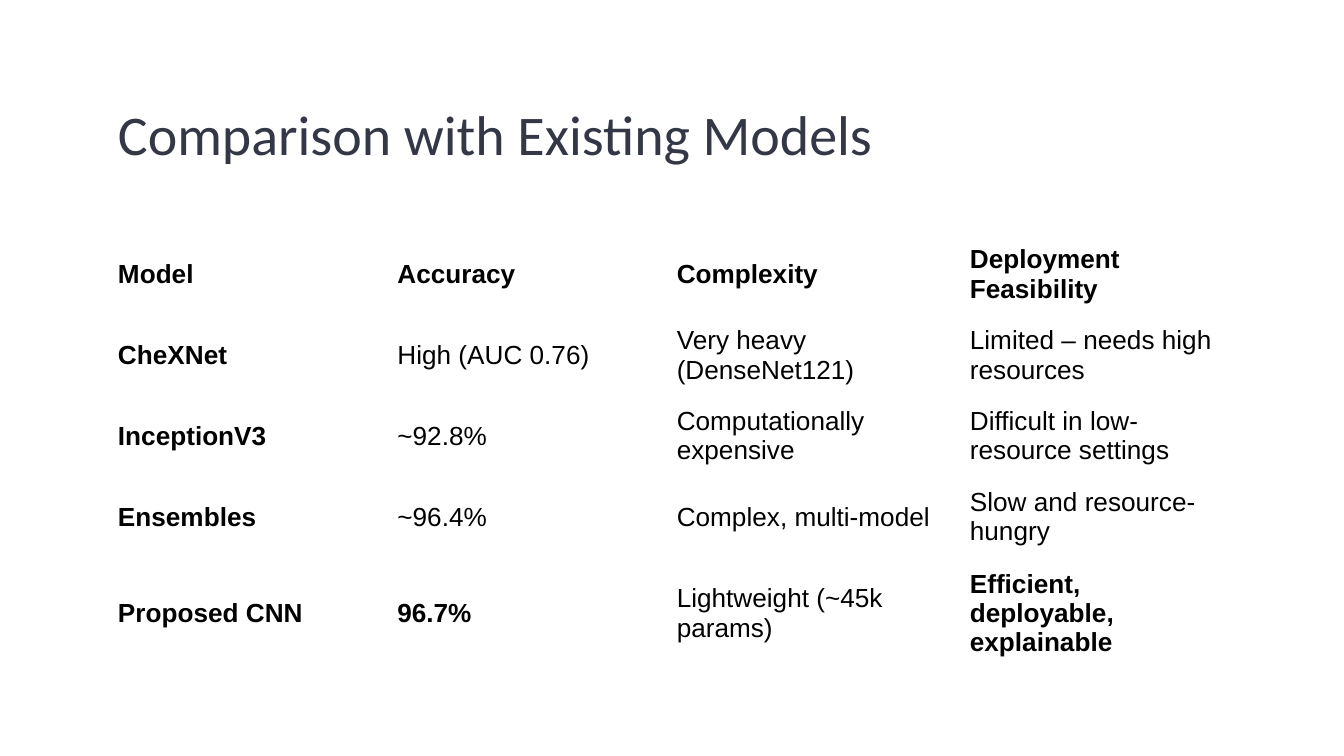
from dataclasses import dataclass

from pptx import Presentation
from pptx.dml.color import RGBColor
from pptx.enum.text import MSO_ANCHOR
from pptx.util import Cm, Pt

MIDDLE = MSO_ANCHOR.MIDDLE


@dataclass(frozen=True)
class Theme:
    title_font: str = "Calibri"
    title_size: Pt = Pt(30)
    title_color: RGBColor = RGBColor(0x33, 0x37, 0x46)
    body_font: str = "Arial"
    body_size: Pt = Pt(14)
    body_color: RGBColor = RGBColor(0, 0, 0)


THEME = Theme()
LEFT, WIDTH = Cm(1.98), Cm(21.44)
PAD_X, PAD_Y = Cm(0.25), Cm(0.13)

TITLE = "Comparison with Existing Models"
MODELS = [
    ["Model", "Accuracy", "Complexity", "Deployment Feasibility"],
    ["CheXNet", "High (AUC 0.76)", "Very heavy (DenseNet121)",
     "Limited – needs high resources"],
    ["InceptionV3", "~92.8%", "Computationally expensive",
     "Difficult in low-resource settings"],
    ["Ensembles", "~96.4%", "Complex, multi-model", "Slow and resource-hungry"],
    ["Proposed CNN", "96.7%", "Lightweight (~45k params)",
     "Efficient, deployable, explainable"],
]
COL_WIDTHS = [Cm(5.28), Cm(5.28), Cm(5.54), Cm(5.31)]
ROW_HEIGHTS = [Cm(1.53)] * 4 + [Cm(2.11)]
# Strengths of the proposed model, as (row, column)
HIGHLIGHTS = {(4, 1), (4, 3)}


def style(p, name, size, color, bold=False):
    p.font.name = name
    p.font.size = size
    p.font.color.rgb = color
    p.font.bold = bold


def add_title(s, text):
    tf = s.shapes.add_textbox(LEFT, Cm(1.5), WIDTH, Cm(1.96)).text_frame
    tf.word_wrap = True
    tf.vertical_anchor = MIDDLE
    tf.margin_left = tf.margin_right = tf.margin_top = tf.margin_bottom = PAD_X
    p = tf.paragraphs[0]
    p.text = text
    p.line_spacing = 1.05
    style(p, THEME.title_font, THEME.title_size, THEME.title_color)


def fill_cell(cell, text, bold):
    cell.fill.background()
    cell.vertical_anchor = MIDDLE
    cell.margin_left = cell.margin_right = PAD_X
    cell.margin_top = cell.margin_bottom = PAD_Y
    p = cell.text_frame.paragraphs[0]
    p.text = text
    style(p, THEME.body_font, THEME.body_size, THEME.body_color, bold)


def add_model_table(s, rows):
    table = s.shapes.add_table(len(rows), len(rows[0]), LEFT, Cm(4.42),
                               sum(COL_WIDTHS), sum(ROW_HEIGHTS)).table
    table.first_row = table.horz_banding = False
    for col, width in zip(table.columns, COL_WIDTHS):
        col.width = width
    for row, height in zip(table.rows, ROW_HEIGHTS):
        row.height = height
    for i, row in enumerate(rows):
        for j, text in enumerate(row):
            bold = i == 0 or j == 0 or (i, j) in HIGHLIGHTS
            fill_cell(table.cell(i, j), text, bold)


def main():
    prs = Presentation()
    prs.slide_width, prs.slide_height = Cm(25.4), Cm(14.29)
    s = prs.slides.add_slide(prs.slide_layouts[6])
    # Heading
    add_title(s, TITLE)
    # Comparison table
    add_model_table(s, MODELS)
    prs.save("out.pptx")


if __name__ == "__main__":
    main()
